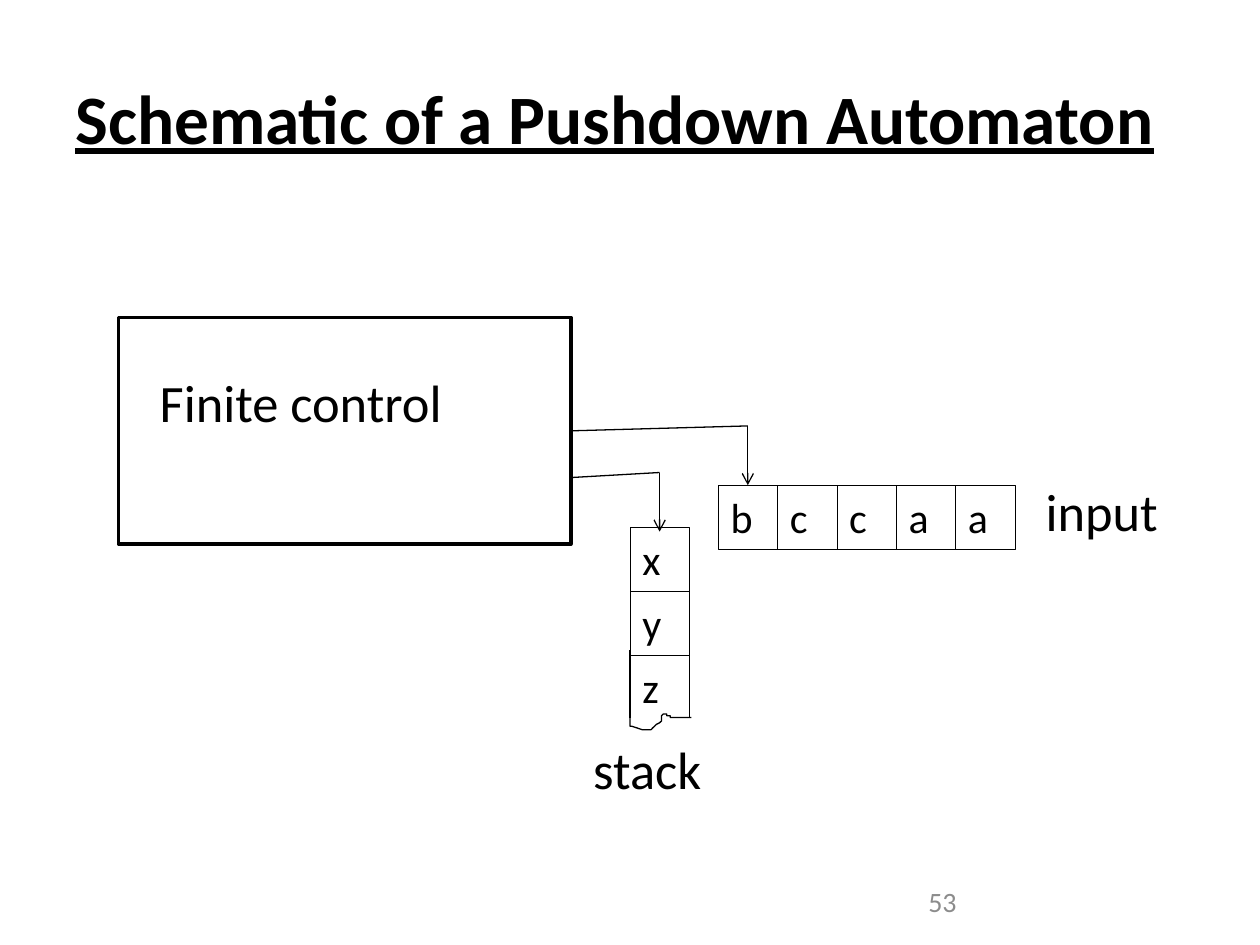
from pptx import Presentation
from pptx.dml.color import RGBColor
from pptx.enum.shapes import MSO_CONNECTOR, MSO_SHAPE
from pptx.enum.text import MSO_ANCHOR, PP_ALIGN
from pptx.oxml.ns import qn
from pptx.util import Pt
from lxml import etree

BLACK = RGBColor(0x00, 0x00, 0x00)
GRAY = RGBColor(0x8C, 0x8C, 0x8C)
RECT = MSO_SHAPE.RECTANGLE
STRAIGHT = MSO_CONNECTOR.STRAIGHT
TOP, MIDDLE = MSO_ANCHOR.TOP, MSO_ANCHOR.MIDDLE
LEFT = PP_ALIGN.LEFT
SITE_TOP, SITE_RIGHT = 0, 3

CELL_W, CELL_H = 33.9, 36.5
TAPE_X, TAPE_Y = 410.4, 277.2
STACK_X, STACK_Y = 360, 301.2


def bezier(p0, p1, p2, p3, steps=10):
    """Return points along a cubic curve, without its start."""
    points = []
    for i in range(1, steps + 1):
        t = i / steps
        u = 1 - t
        weights = (u ** 3, 3 * u * u * t, 3 * u * t * t, t ** 3)
        points.append(tuple(
            sum(w * p[axis] for w, p in zip(weights, (p0, p1, p2, p3)))
            for axis in (0, 1)))
    return points


class Diagram:
    def __init__(self, slide, font="Calibri", line_width=0.75):
        self.slide = slide
        self.font = font
        self.line_width = line_width

    def set_text(self, sp, text, size, color=BLACK, bold=False,
                 underline=False, anchor=TOP):
        tf = sp.text_frame
        tf.text = text
        tf.word_wrap = True
        tf.vertical_anchor = anchor
        p = tf.paragraphs[0]
        p.alignment = LEFT
        font = p.runs[0].font
        font.name, font.size, font.color.rgb = self.font, Pt(size), color
        font.bold, font.underline = bold, underline

    def label(self, x, y, w, h, text, size, **style):
        sp = self.slide.shapes.add_textbox(Pt(x), Pt(y), Pt(w), Pt(h))
        self.set_text(sp, text, size, **style)

    def box(self, x, y, w, h, line_width):
        sp = self.slide.shapes.add_shape(RECT, Pt(x), Pt(y), Pt(w), Pt(h))
        sp.shadow.inherit = False
        sp.fill.background()
        sp.line.color.rgb = BLACK
        sp.line.width = Pt(line_width)
        return sp

    def cell(self, x, y, text):
        sp = self.box(x, y, CELL_W, CELL_H, 0.25)
        self.set_text(sp, text, 24)
        return sp

    def line(self, start, end, arrow=False):
        cx = self.slide.shapes.add_connector(
            STRAIGHT, *(Pt(v) for v in (*start, *end)))
        cx.line.color.rgb = BLACK
        cx.line.width = Pt(self.line_width)
        if arrow:
            ln = cx.line._get_or_add_ln()
            etree.SubElement(ln, qn("a:tailEnd"), type="arrow")
        etree.SubElement(cx._element.spPr, qn("a:effectLst"))
        return cx

    def curve(self, start, segments):
        """Draw an open outline through cubic segments."""
        points, current = [], start
        for segment in segments:
            points += bezier(current, *segment)
            current = segment[-1]
        builder = self.slide.shapes.build_freeform(*start, scale=Pt(1))
        builder.add_line_segments(points, close=False)
        sp = builder.convert_to_shape()
        sp.shadow.inherit = False
        sp.fill.background()
        sp.line.color.rgb = BLACK
        sp.line.width = Pt(self.line_width)


def main():
    prs = Presentation()
    prs.slide_width, prs.slide_height = Pt(720), Pt(540)
    d = Diagram(prs.slides.add_slide(prs.slide_layouts[6]))

    d.label(36, 21.6, 648, 90, "Schematic of a Pushdown Automaton", 39.6,
            bold=True, underline=True, anchor=MIDDLE)
    d.label(523.4, 500.4, 160.6, 28.8, "53", 16, color=GRAY, anchor=MIDDLE)

    control = d.box(67.7, 181.4, 258.5, 129.6, 2)
    d.label(84.2, 208.1, 225.4, 43.9, "Finite control", 30)

    tape = [d.cell(TAPE_X + i * CELL_W, TAPE_Y, symbol)
            for i, symbol in enumerate("bccaa")]
    d.label(590.4, 270, 146.2, 43.9, "input", 30)

    for i, symbol in enumerate("xy"):
        d.cell(STACK_X, STACK_Y + i * CELL_H, symbol)
    d.label(STACK_X, STACK_Y + 2 * CELL_H, CELL_W, CELL_H, "z", 24)
    for x in (STACK_X, STACK_X + CELL_W):
        d.line((x, 371.5), (x, 410.4))
    d.curve((360, 410.4), [
        ((360.7, 412.6), (359.3, 415.4), (361.4, 415.4)),
        ((372.2, 418.3), (373, 416.9), (378, 411.8)),
        ((378, 410.4), (378, 409), (378.7, 408.2)),
        ((380.2, 407.5), (382.3, 409.7), (383.8, 409.7)),
        ((387.4, 409.7), (391.7, 409.7), (395.3, 409.7)),
    ])
    d.label(331.9, 417.6, 146.2, 43.9, "stack", 30)

    tape_x = TAPE_X + CELL_W / 2
    d.line((326.2, 246.2), (tape_x, 243.4)).begin_connect(control, SITE_RIGHT)
    d.line((tape_x, 243.4), (tape_x, TAPE_Y),
           arrow=True).end_connect(tape[0], SITE_TOP)
    stack_x = STACK_X + CELL_W / 2
    d.line((326.2, 272.9), (stack_x, 270))
    d.line((stack_x, 270), (stack_x, 303.8), arrow=True)

    prs.save("out.pptx")


if __name__ == "__main__":
    main()
